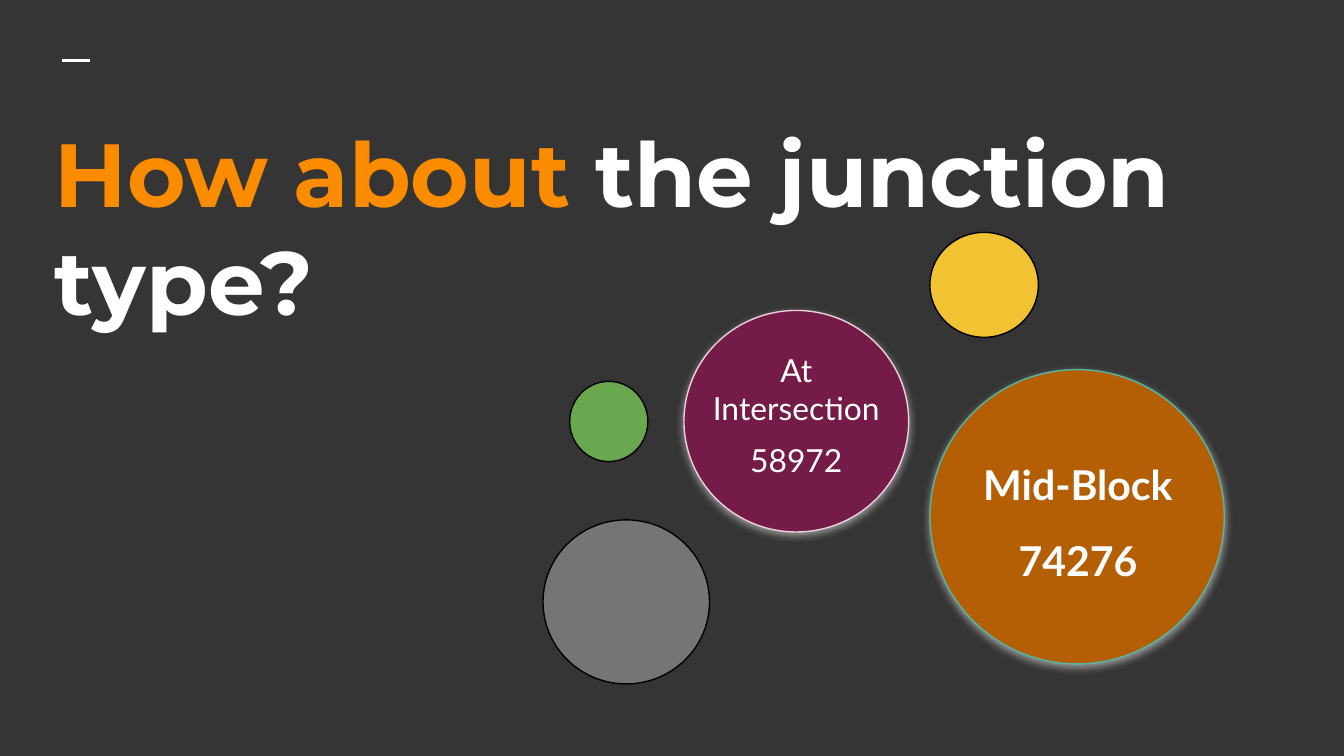
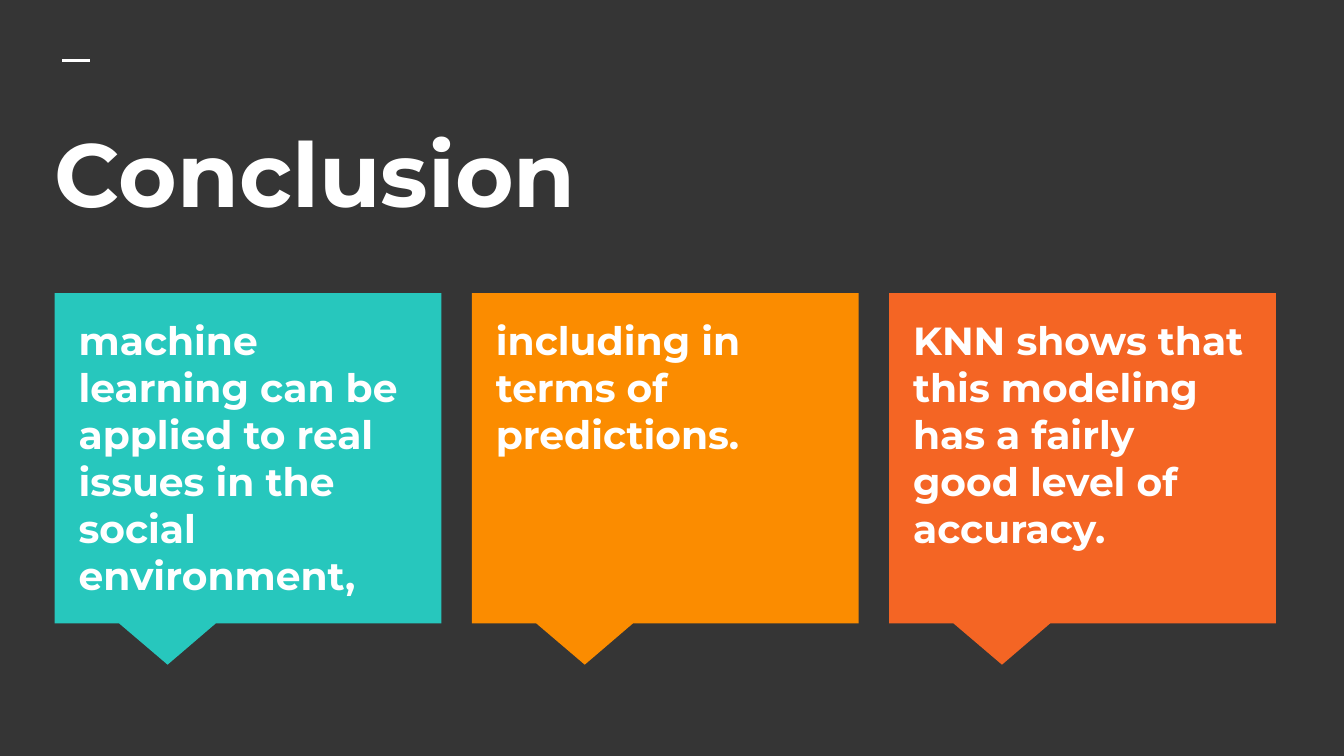
"""Build two dark slides: junction type bubbles and conclusion callouts."""
import pptx
import pptx.dml.color
import pptx.enum.shapes
import pptx.enum.text
import pptx.oxml
import pptx.oxml.ns
import pptx.util
from lxml import etree

Pt = pptx.util.Pt
SHAPE = pptx.enum.shapes.MSO_SHAPE
ALIGN = pptx.enum.text.PP_ALIGN
qn = pptx.oxml.ns.qn

COLORS = {
    "background": "353535", "white": "FFFFFF", "black": "000000",
    "orange": "FB8C00", "brown": "B45F06", "sea": "51B9A3",
    "plum": "741B47", "pink": "EAD1DC", "grey": "757575",
    "yellow": "F1C232", "green": "6AA84F", "teal": "27C7BD",
    "red": "F46524",
}


def rgb(name):
    return pptx.dml.color.RGBColor.from_string(COLORS[name])


def add_slide(prs):
    s = prs.slides.add_slide(prs.slide_layouts[6])
    s.background.fill.solid()
    s.background.fill.fore_color.rgb = rgb("background")
    dash = s.shapes.add_connector(pptx.enum.shapes.MSO_CONNECTOR.STRAIGHT,
                                  Pt(33.5), Pt(32.4), Pt(48), Pt(32.4))
    dash.line.color.rgb = rgb("white")
    dash.line.width = Pt(1.5)
    etree.SubElement(dash._element.spPr, qn("a:effectLst"))
    return s


def add_text(s, box, paragraphs, size, font="Montserrat", bold=True,
             align=ALIGN.LEFT, gap=0):
    tf = s.shapes.add_textbox(*map(Pt, box)).text_frame
    tf.word_wrap = True
    tf.margin_left = tf.margin_right = Pt(7.2)
    tf.margin_top = tf.margin_bottom = Pt(7.2)
    for i, runs in enumerate(paragraphs):
        p = tf.add_paragraph() if i else tf.paragraphs[0]
        p.alignment = align
        p.space_before = Pt(gap if i else 0)
        for text, color in runs:
            r = p.add_run()
            r.text = text
            r.font.name = font
            r.font.size = Pt(size)
            r.font.bold = bold
            r.font.color.rgb = rgb(color)


def add_title(s, runs, height):
    add_text(s, (22.3, 56.2, 679, height), [runs], 48)


def add_shape(s, kind, box, fill):
    sp = s.shapes.add_shape(kind, *map(Pt, box))
    sp.shadow.inherit = False
    sp.fill.solid()
    sp.fill.fore_color.rgb = rgb(fill)
    sp.line.fill.background()
    return sp


def add_glow(sp):
    effects = sp._element.spPr.find(qn("a:effectLst"))
    shadow = etree.SubElement(effects, qn("a:outerShdw"), blurRad=str(Pt(4.5)),
                              dist=str(Pt(1.5)), dir="5400000",
                              algn="bl", rotWithShape="0")
    color = etree.SubElement(shadow, qn("a:srgbClr"), val=COLORS["white"])
    etree.SubElement(color, qn("a:alpha"), val="50000")


def add_bubble(s, box, fill, line="black", glow=False):
    sp = add_shape(s, SHAPE.OVAL, box, fill)
    sp.line.color.rgb = rgb(line)
    sp.line.width = Pt(0.75)
    if glow:
        add_glow(sp)


def add_bubble_label(s, box, lines, size, bold, gap):
    add_text(s, box, [[(line, "white")] for line in lines], size,
             "Lato", bold, ALIGN.CENTER, gap)


def add_callout(s, left, text, fill):
    sp = add_shape(s, SHAPE.RECTANGULAR_CALLOUT, (left, 157, 207.2, 177), fill)
    sp.adjustments[0] = -0.208
    sp.adjustments[1] = 0.625
    add_text(s, (left + 5.8, 162, 195.2, 157.7), [[(text, "white")]], 21)


def build_junction(prs):
    s = add_slide(prs)
    add_title(s, [("How about", "orange"),
                  (" the junction type?", "white")], 301.7)
    add_bubble(s, (498.2, 198, 157.7, 157.7), "brown", "sea", True)
    add_bubble_label(s, (512, 239, 131, 87.8), ["Mid-Block", "74276"],
                     22, True, 14.4)
    add_bubble(s, (366.4, 166.3, 120.4, 118.7), "plum", "pink", True)
    add_bubble_label(s, (366.4, 180.7, 120.4, 82),
                     ["At Intersection", "58972"], 17, False, 7.2)
    add_bubble(s, (290.9, 278.5, 89.2, 87.9), "grey")
    add_bubble(s, (498.2, 124.5, 58.1, 56.2), "yellow")
    add_bubble(s, (305.2, 204.3, 41.9, 43), "green")


def build_conclusion(prs):
    s = add_slide(prs)
    add_title(s, [("Conclusion", "white")], 80.6)
    callouts = [
        ("machine learning can be applied to real issues in the social "
         "environment,", "teal"),
        ("including in terms of predictions.", "orange"),
        ("KNN shows that this modeling has a fairly good level of accuracy.",
         "red"),
    ]
    for i, (text, fill) in enumerate(callouts):
        add_callout(s, 29.3 + 223.5 * i, text, fill)


def main():
    prs = pptx.Presentation()
    prs.slide_width = Pt(720)
    prs.slide_height = Pt(405)
    build_junction(prs)
    build_conclusion(prs)
    prs.save("out.pptx")


main()
